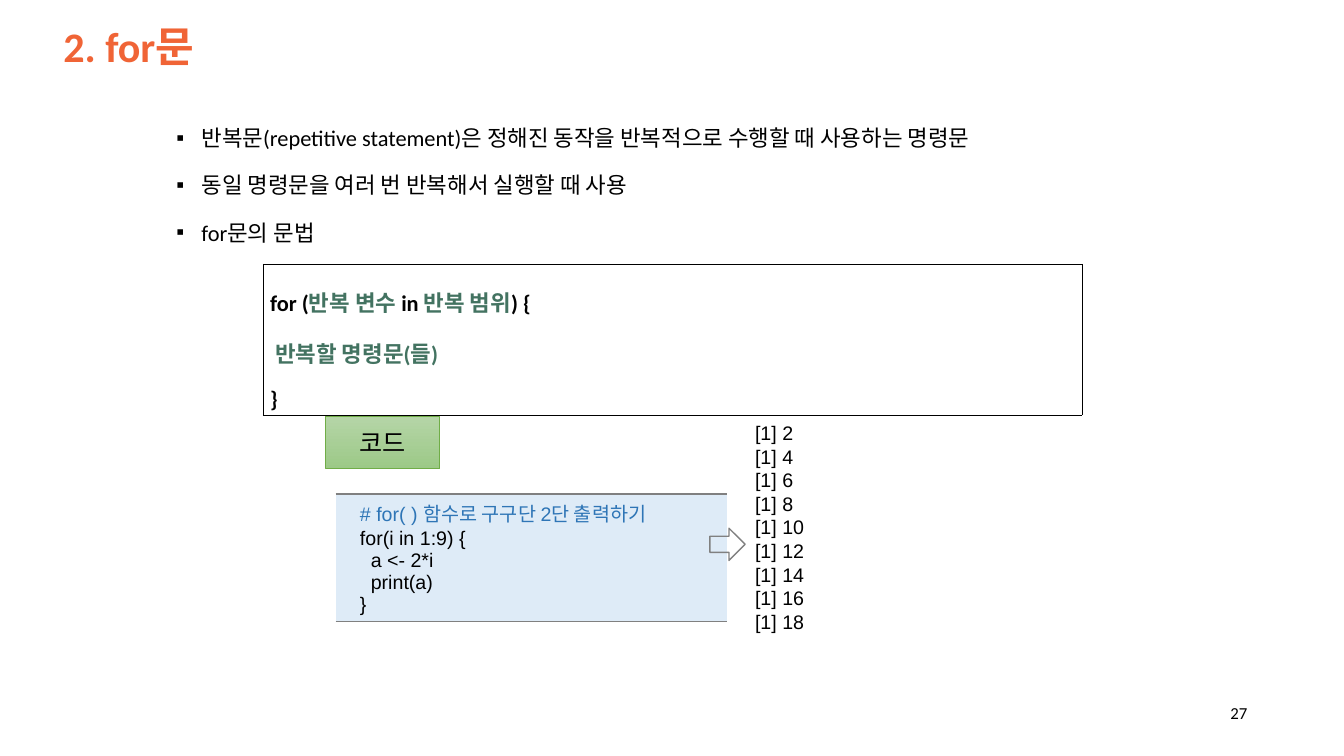
from lxml import etree
from pptx import Presentation
from pptx.dml.color import RGBColor
from pptx.enum.shapes import MSO_SHAPE as Shape
from pptx.enum.text import MSO_ANCHOR as Anchor, PP_ALIGN as Align
from pptx.oxml.ns import qn
from pptx.util import Inches, Pt

COLORS = {
    "title": "F06436", "text": "000000", "keyword": "437361", "comment": "2E75B6",
    "code": "DEEBF7", "rule": "808080", "label_top": "B5D5A7",
    "label_bottom": "9CC987", "label_line": "70AD47",
}
CALIBRI = {"name": "Calibri", "size": Pt(16), "bold": False}
ARIAL = {"name": "Arial", "size": Pt(14), "bold": False}
BULLETS = [
    "반복문(repetitive statement)은 정해진 동작을 반복적으로 수행할 때 사용하는 명령문",
    "동일 명령문을 여러 번 반복해서 실행할 때 사용",
    "for문의 문법",
]
SYNTAX = [
    [("for (", "text"), ("반복 변수 ", "keyword"), ("in ", "text"),
     ("반복 범위", "keyword"), (") {", "text")],
    [(" ", "text"), ("반복할 명령문(들)", "keyword")],
    [("} ", "text")],
]
CODE = [
    [("# for( ) 함수로 구구단 2단 출력하기", "comment")],
    *([(line, "text")] for line in ("for(i in 1:9) {", "  a <- 2*i", "  print(a)", "}")),
]


def rgb(name):
    return RGBColor.from_string(COLORS[name])


def set_all(target, values):
    for name, value in values.items():
        setattr(target, name, value)


def write(frame, lines, font, **para_format):
    """Fill a text frame with lines, each a list of (text, color name) spans."""
    for index, line in enumerate(lines):
        para = frame.add_paragraph() if index else frame.paragraphs[0]
        set_all(para, para_format)
        for text, color in line:
            span = para.add_run()
            span.text = text
            set_all(span.font, font)
            span.font.color.rgb = rgb(color)


def add_text(page, box, lines, font, anchor=Anchor.TOP, **para_format):
    frame = page.shapes.add_textbox(*map(Inches, box)).text_frame
    set_all(frame, {"word_wrap": True, "vertical_anchor": anchor})
    write(frame, lines, font, **para_format)
    return frame


def add_bullets(page, box):
    frame = add_text(page, box, [[(text, "text")] for text in BULLETS], CALIBRI,
                     line_spacing=1.5, space_before=Pt(5))
    for para in frame.paragraphs:
        props = para._p.get_or_add_pPr()
        props.set("marL", str(Inches(0.75)))
        props.set("indent", str(Inches(-0.25)))
        etree.SubElement(props, qn("a:buFont")).set("typeface", "Arial")
        etree.SubElement(props, qn("a:buChar")).set("char", "▪")


def set_borders(cell, color, width, sides):
    props = cell._tc.get_or_add_tcPr()
    for side in "LRTB":
        line = etree.SubElement(props, qn(f"a:ln{side}"), w=str(Pt(width)))
        if side in sides:
            fill = etree.SubElement(line, qn("a:solidFill"))
            etree.SubElement(fill, qn("a:srgbClr"), val=COLORS[color])
        else:
            etree.SubElement(line, qn("a:noFill"))


def add_cell(page, box, margins):
    """Add a table of one plain cell and return that cell."""
    table = page.shapes.add_table(1, 1, *map(Inches, box)).table
    set_all(table, {"first_row": False, "horz_banding": False})
    cell = table.cell(0, 0)
    sides = ("margin_left", "margin_top", "margin_right", "margin_bottom")
    set_all(cell, dict(zip(sides, map(Inches, margins))))
    return cell


def add_syntax(page, box):
    cell = add_cell(page, box, (0.07, 0.02, 0.07, 0.02))
    cell.vertical_anchor = Anchor.MIDDLE
    set_borders(cell, "text", 0.28, "LRTB")
    cell.fill.background()
    write(cell.text_frame, SYNTAX, CALIBRI | {"bold": True},
          alignment=Align.JUSTIFY, line_spacing=1.6)


def add_code(page, box):
    cell = add_cell(page, box, (0.24, 0.05, 0.1, 0.05))
    set_borders(cell, "rule", 1, "TB")
    cell.fill.solid()
    cell.fill.fore_color.rgb = rgb("code")
    write(cell.text_frame, CODE, ARIAL)


def add_outlined(page, kind, box, color, width):
    shape = page.shapes.add_shape(kind, *map(Inches, box))
    shape.shadow.inherit = False
    shape.line.color.rgb = rgb(color)
    shape.line.width = Pt(width)
    return shape


def add_label(page, box):
    label = add_outlined(page, Shape.RECTANGLE, box, "label_line", 0.5)
    label.fill.gradient()
    label.fill.gradient_angle = 270
    for stop, color in zip(label.fill.gradient_stops, ("label_top", "label_bottom")):
        stop.color.rgb = rgb(color)
    label.text_frame.vertical_anchor = Anchor.MIDDLE
    write(label.text_frame, [[("코드", "text")]], CALIBRI | {"size": Pt(18)},
          alignment=Align.CENTER)


def add_output(page, box):
    """Place the printed values, with an arrow leading to them from the code."""
    left, top = box[:2]
    arrow = add_outlined(page, Shape.RIGHT_ARROW, (left - 0.35, top + 1.11, 0.35, 0.32),
                         "rule", 1)
    arrow.fill.background()
    add_text(page, box, [[(f"[1] {2 * i}", "text")] for i in range(1, 10)], ARIAL)


def main():
    deck = Presentation()
    set_all(deck, {"slide_width": Inches(13.33), "slide_height": Inches(7.5)})
    page = deck.slides.add_slide(deck.slide_layouts[6])
    add_text(page, (0.53, 0.12, 12.34, 0.73), [[("2. for문", "title")]],
             CALIBRI | {"size": Pt(30), "bold": True}, Anchor.MIDDLE, line_spacing=0.9)
    add_bullets(page, (1.15, 1.05, 11.02, 5.06))
    add_syntax(page, (2.61, 2.62, 8.12, 1.5))
    add_code(page, (3.33, 4.9, 3.88, 1.27))
    add_output(page, (7.39, 4.13, 1.26, 2.22))
    add_text(page, (12.03, 6.87, 0.44, 0.4), [[("27", "text")]],
             CALIBRI | {"size": Pt(12)}, Anchor.MIDDLE, alignment=Align.RIGHT)
    add_label(page, (3.23, 4.13, 1.13, 0.52))
    deck.save("out.pptx")


if __name__ == "__main__":
    main()
